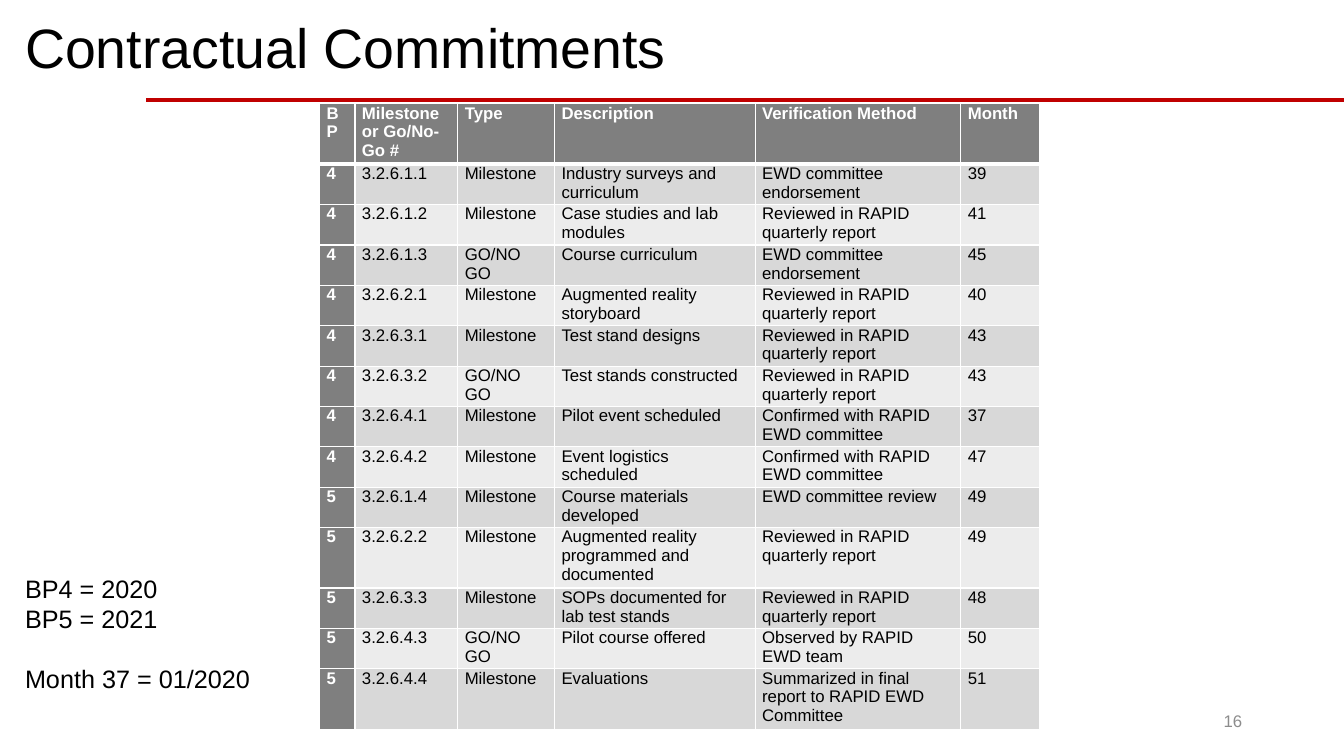
from lxml.etree import SubElement
from pptx import Presentation
from pptx.dml.color import RGBColor
from pptx.enum.shapes import MSO_CONNECTOR
from pptx.enum.text import MSO_ANCHOR, PP_ALIGN
from pptx.oxml.ns import qn
from pptx.util import Inches, Pt

COLORS = {
    "rule": "C00000",
    "text": "000000",
    "number": "8C8C8C",
    "header": "7F7F7F",
    "odd_row": "D8D8D8",
    "even_row": "ECECEC",
    "white": "FFFFFF",
}
FONT = "Arial"
COLUMN_WIDTHS = [0.35, 1.02, 0.96, 1.99, 2.04, 0.78]
ROW_HEIGHTS = [0.39] * 9 + [0.19, 0.58] + [0.39] * 3
HEADINGS = ("BP", "Milestone or Go/No-Go #", "Type", "Description", "Verification Method", "Month")
ENDORSED = "EWD committee endorsement"
REVIEWED = "Reviewed in RAPID quarterly report"
CONFIRMED = "Confirmed with RAPID EWD committee"
COMMITMENTS = [
    ("4", "3.2.6.1.1", "Milestone", "Industry surveys and curriculum", ENDORSED, "39"),
    ("4", "3.2.6.1.2", "Milestone", "Case studies and lab modules", REVIEWED, "41"),
    ("4", "3.2.6.1.3", "GO/NO GO", "Course curriculum", ENDORSED, "45"),
    ("4", "3.2.6.2.1", "Milestone", "Augmented reality storyboard", REVIEWED, "40"),
    ("4", "3.2.6.3.1", "Milestone", "Test stand designs", REVIEWED, "43"),
    ("4", "3.2.6.3.2", "GO/NO GO", "Test stands constructed", REVIEWED, "43"),
    ("4", "3.2.6.4.1", "Milestone", "Pilot event scheduled", CONFIRMED, "37"),
    ("4", "3.2.6.4.2", "Milestone", "Event logistics scheduled", CONFIRMED, "47"),
    ("5", "3.2.6.1.4", "Milestone", "Course materials developed", "EWD committee review", "49"),
    ("5", "3.2.6.2.2", "Milestone", "Augmented reality programmed and documented", REVIEWED, "49"),
    ("5", "3.2.6.3.3", "Milestone", "SOPs documented for lab test stands", REVIEWED, "48"),
    ("5", "3.2.6.4.3", "GO/NO GO", "Pilot course offered", "Observed by RAPID EWD team", "50"),
    ("5", "3.2.6.4.4", "Milestone", "Evaluations",
     "Summarized in final report to RAPID EWD Committee", "51"),
]


def color(name):
    """Return the named colour."""
    return RGBColor.from_string(COLORS[name])


def style_font(font, size, color_name, bold=False):
    """Apply the slide font with a size, colour and weight."""
    font.name = FONT
    font.size = Pt(size)
    font.bold = bold
    font.color.rgb = color(color_name)


def add_text(slide, box, lines, size, color_name="text", anchor=MSO_ANCHOR.MIDDLE, wrap=True):
    """Add a text box with one paragraph per line and return its paragraphs."""
    text_frame = slide.shapes.add_textbox(*map(Inches, box)).text_frame
    text_frame.word_wrap = wrap
    text_frame.vertical_anchor = anchor
    text_frame.text = "\n".join(lines)
    for paragraph in text_frame.paragraphs:
        for run in paragraph.runs:
            style_font(run.font, size, color_name)
    return text_frame.paragraphs


def add_rule(slide, left, top, width):
    """Draw the red rule under the title."""
    rule = slide.shapes.add_connector(
        MSO_CONNECTOR.STRAIGHT, Inches(left), Inches(top), Inches(left + width), Inches(top))
    rule.line.color.rgb = color("rule")
    rule.line.width = Pt(3)
    SubElement(rule._element.spPr, qn("a:effectLst"))


def add_title(slide, box):
    """Add the slide title."""
    title = add_text(slide, box, ["Contractual Commitments"], 39.6)[0]
    title.line_spacing = 0.9


def add_slide_number(slide, box):
    """Add the right-aligned slide number."""
    number = add_text(slide, box, ["16"], 12, "number")[0]
    number.alignment = PP_ALIGN.RIGHT


def add_legend(slide, box):
    """Add the key to budget periods and months."""
    lines = ["BP4 = 2020", "BP5 = 2021", "Month 37 = 01/2020"]
    paragraphs = add_text(slide, box, lines, 18, anchor=MSO_ANCHOR.TOP, wrap=False)
    paragraphs[-1].space_before = Pt(21)


def set_borders(cell, top, bottom):
    """Give a cell white borders, with top and bottom widths in points."""
    properties = cell._tc.get_or_add_tcPr()
    for side, width in (("L", 1), ("R", 1), ("T", top), ("B", bottom)):
        line = SubElement(properties, qn(f"a:ln{side}"), w=str(Pt(width)))
        fill = SubElement(line, qn("a:solidFill"))
        SubElement(fill, qn("a:srgbClr"), val=COLORS["white"])


def fill_cell(cell, text, row, column):
    """Write and style one table cell according to its place."""
    heading = row == 0 or column == 0
    set_borders(cell, top=3 if row == 1 else 1, bottom=3 if row == 0 else 1)
    cell.fill.solid()
    cell.fill.fore_color.rgb = color("header" if heading else "odd_row" if row % 2 else "even_row")
    cell.margin_left = cell.margin_right = Inches(0.07)
    cell.margin_top = cell.margin_bottom = 0
    cell.text_frame.text = text
    run = cell.text_frame.paragraphs[0].runs[0]
    style_font(run.font, 12, "white" if heading else "text", heading)


def add_commitments_table(slide, left, top):
    """Add the table of milestones and go/no-go points."""
    rows = [HEADINGS, *COMMITMENTS]
    table = slide.shapes.add_table(
        len(rows), len(HEADINGS), Inches(left), Inches(top),
        Inches(sum(COLUMN_WIDTHS)), Inches(sum(ROW_HEIGHTS))).table
    table.first_col = True
    for table_column, width in zip(table.columns, COLUMN_WIDTHS):
        table_column.width = Inches(width)
    for table_row, height in zip(table.rows, ROW_HEIGHTS):
        table_row.height = Inches(height)
    for row, texts in enumerate(rows):
        for column, text in enumerate(texts):
            fill_cell(table.cell(row, column), text, row, column)


def main():
    """Build the slide and save it."""
    presentation = Presentation()
    presentation.slide_width = Inches(13.33)
    presentation.slide_height = Inches(7.5)
    slide = presentation.slides.add_slide(presentation.slide_layouts[6])
    add_rule(slide, 1.45, 0.99, 11.88)
    add_slide_number(slide, (9.42, 6.95, 3, 0.4))
    add_title(slide, (0.15, 0.13, 12.26, 0.74))
    add_commitments_table(slide, 3.17, 1.03)
    add_legend(slide, (0.15, 5.64, 2.45, 1.31))
    presentation.save("out.pptx")


if __name__ == "__main__":
    main()
